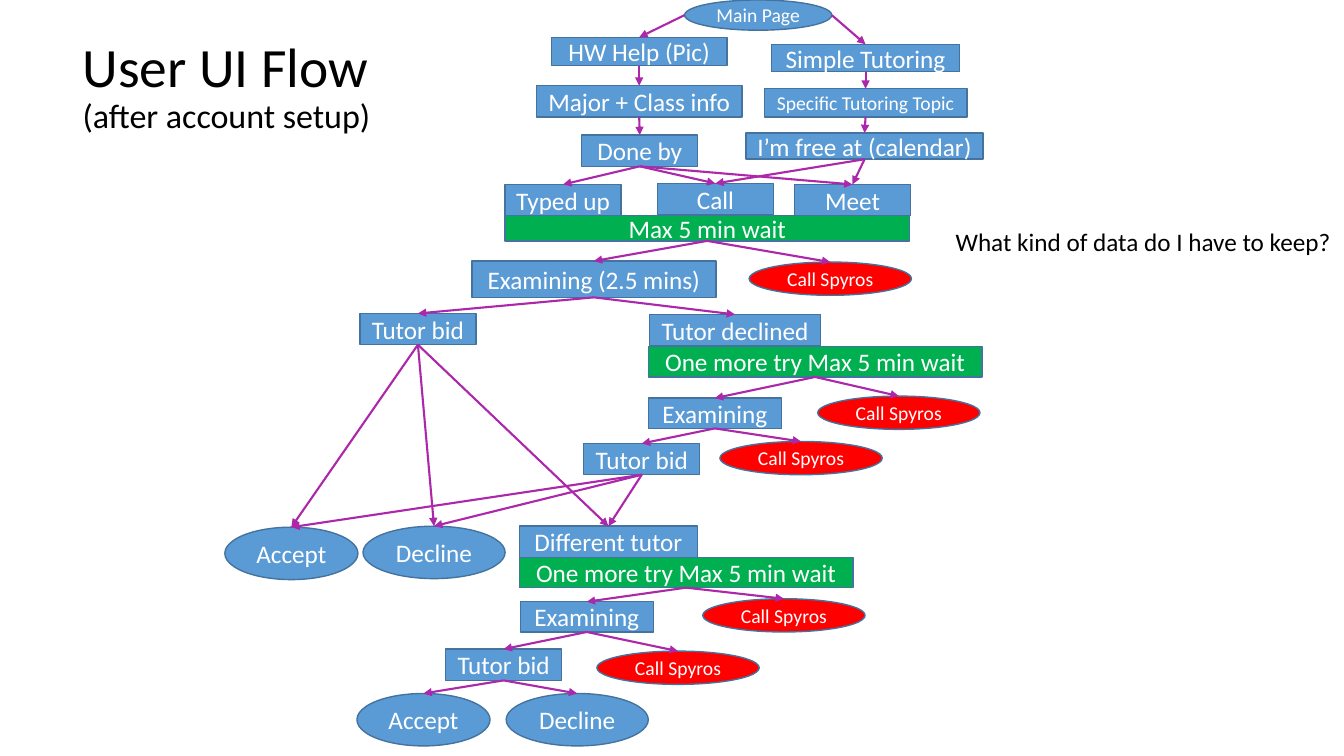
from pptx import Presentation
from pptx.dml.color import RGBColor
from pptx.enum.shapes import MSO_CONNECTOR, MSO_SHAPE
from pptx.enum.text import MSO_ANCHOR, MSO_AUTO_SIZE, PP_ALIGN
from pptx.oxml.ns import qn
from pptx.util import Inches, Pt
from lxml.etree import SubElement

BLUE = RGBColor(0x5B, 0x9B, 0xD5)
GREEN = RGBColor(0x00, 0xB0, 0x50)
RED = RGBColor(0xFF, 0x00, 0x00)
OUTLINE = RGBColor(0x43, 0x73, 0x9E)
PURPLE = RGBColor(0xAC, 0x27, 0xAA)
WHITE = RGBColor(0xFF, 0xFF, 0xFF)
BLACK = RGBColor(0x00, 0x00, 0x00)
FONT = "Calibri"

TITLE = [("User UI Flow ", 39.6), ("(after account setup)", 24.3)]
QUESTION = "What kind of data do I have to keep?"

RECT, OVAL = MSO_SHAPE.RECTANGLE, MSO_SHAPE.OVAL
STYLES = {
    "step": (RECT, BLUE, 18),
    "small step": (RECT, BLUE, 14),
    "wait": (RECT, GREEN, 18),
    "start": (OVAL, BLUE, 14),
    "outcome": (OVAL, BLUE, 18),
    "call": (OVAL, RED, 14),
}
SHORT, EXAM, RETRY = (1.15, 0.31), (1.32, 0.3), (3.31, 0.3)
ACCEPT, DECLINE, SPYROS = (1.32, 0.52), (1.41, 0.52), (1.61, 0.33)

STEPS = {
    "main": ("Main Page", "start", (6.79, 0), (1.46, 0.3)),
    "help": ("HW Help (Pic)", "step", (5.47, 0.37), (1.74, 0.28)),
    "tutoring": ("Simple Tutoring", "step", (7.65, 0.44), (1.87, 0.27)),
    "typed": ("Typed up", "step", (5.01, 1.83), SHORT),
    "phone": ("Call", "step", (6.52, 1.82), SHORT),
    "meet": ("Meet", "step", (7.88, 1.83), SHORT),
    "major": ("Major + Class info", "step", (5.32, 0.85), (2.04, 0.31)),
    "topic": ("Specific Tutoring Topic", "small step", (7.58, 0.88), (2.01, 0.28)),
    "done": ("Done by", "step", (5.77, 1.34), SHORT),
    "free": ("I’m free at (calendar)", "step", (7.4, 1.32), (2.35, 0.26)),
    "wait 1": ("Max 5 min wait", "wait", (5.01, 2.14), (4.01, 0.25)),
    "exam 1": ("Examining (2.5 mins)", "step", (4.68, 2.59), (2.42, 0.36)),
    "bid 1": ("Tutor bid", "step", (3.57, 3.11), SHORT),
    "declined": ("Tutor declined", "step", (6.44, 3.12), (1.7, 0.31)),
    "exam 2": ("Examining", "step", (6.43, 3.95), EXAM),
    "wait 2": ("One more try Max 5 min wait", "wait", (6.43, 3.44), RETRY),
    "bid 2": ("Tutor bid", "step", (5.79, 4.4), SHORT),
    "different": ("Different tutor", "step", (5.15, 5.22), (1.77, 0.31)),
    "wait 3": ("One more try Max 5 min wait", "wait", (5.15, 5.53), RETRY),
    "exam 3": ("Examining", "step", (5.16, 5.97), EXAM),
    "bid 3": ("Tutor bid", "step", (4.42, 6.44), SHORT),
    "accept 1": ("Accept", "outcome", (2.23, 5.23), ACCEPT),
    "decline 1": ("Decline", "outcome", (3.6, 5.22), DECLINE),
    "accept 2": ("Accept", "outcome", (3.54, 6.88), ACCEPT),
    "decline 2": ("Decline", "outcome", (5.02, 6.88), DECLINE),
    "call 1": ("Call Spyros", "call", (7.43, 2.6), SPYROS),
    "call 2": ("Call Spyros", "call", (8.11, 3.93), SPYROS),
    "call 3": ("Call Spyros", "call", (7.14, 4.38), SPYROS),
    "call 4": ("Call Spyros", "call", (6.97, 5.94), SPYROS),
    "call 5": ("Call Spyros", "call", (5.92, 6.46), SPYROS),
}

FLOW = {
    "help": ["major"],
    "major": ["done"],
    "done": ["typed", "phone", "meet"],
    "wait 1": ["exam 1", "call 1"],
    "exam 1": ["bid 1", "declined"],
    "wait 2": ["exam 2", "call 2"],
    "exam 2": ["bid 2", "call 3"],
    "bid 1": ["accept 1", "decline 1", "different"],
    "bid 2": ["accept 1", "decline 1", "different"],
    "wait 3": ["exam 3", "call 4"],
    "exam 3": ["bid 3", "call 5"],
    "bid 3": ["accept 2", "decline 2"],
    "main": ["help", "tutoring"],
    "tutoring": ["topic"],
    "topic": ["free"],
    "free": ["phone", "meet"],
}
TOP_SITE, BOTTOM_SITE = 0, 2


def add_run(paragraph, text, size, color):
    run = paragraph.add_run()
    run.text = text
    run.font.name = FONT
    run.font.size = Pt(size)
    run.font.color.rgb = color


def add_step(slide, text, style, corner, size):
    preset, fill, points = STYLES[style]
    step = slide.shapes.add_shape(preset, *map(Inches, corner + size))
    step.shadow.inherit = False
    step.fill.solid()
    step.fill.fore_color.rgb = fill
    step.line.color.rgb = OUTLINE
    step.line.width = Pt(1)
    frame = step.text_frame
    frame.word_wrap = True
    frame.vertical_anchor = MSO_ANCHOR.MIDDLE
    paragraph = frame.paragraphs[0]
    paragraph.alignment = PP_ALIGN.CENTER
    add_run(paragraph, text, points, WHITE)
    return step


def add_arrow(slide, source, target):
    middle = source.top + source.height // 2
    on_left = target.left + target.width // 2 < source.left + source.width // 2
    side = source.left if on_left else source.left + source.width
    arrow = slide.shapes.add_connector(
        MSO_CONNECTOR.STRAIGHT, side, middle, target.left, target.top)
    if source.auto_shape_type == RECT:
        arrow.begin_connect(source, BOTTOM_SITE)
    arrow.end_connect(target, TOP_SITE)
    arrow.line.color.rgb = PURPLE
    arrow.line.width = Pt(1.5)
    SubElement(arrow.line._get_or_add_ln(), qn("a:tailEnd"), type="triangle")
    SubElement(arrow._element.spPr, qn("a:effectLst"))


def add_title(slide):
    title = slide.shapes.title
    title.left, title.top, title.width, title.height = map(
        Inches, (0.72, 0.38, 3.13, 0.98))
    frame = title.text_frame
    frame.word_wrap = True
    frame.auto_size = MSO_AUTO_SIZE.NONE
    frame.vertical_anchor = MSO_ANCHOR.MIDDLE
    paragraph = frame.paragraphs[0]
    paragraph.alignment = PP_ALIGN.LEFT
    paragraph.line_spacing = 0.9
    for text, size in TITLE:
        add_run(paragraph, text, size, BLACK)


def add_question(slide):
    question = slide.shapes.add_textbox(*map(Inches, (9.38, 2.2, 3.97, 0.4)))
    frame = question.text_frame
    frame.word_wrap = False
    frame.auto_size = MSO_AUTO_SIZE.SHAPE_TO_FIT_TEXT
    add_run(frame.paragraphs[0], QUESTION, 18, BLACK)


def main():
    deck = Presentation()
    deck.slide_width, deck.slide_height = Inches(13.33), Inches(7.5)
    slide = deck.slides.add_slide(deck.slide_layouts[5])
    add_title(slide)
    steps = {key: add_step(slide, *step) for key, step in STEPS.items()}
    for source, targets in FLOW.items():
        for target in targets:
            add_arrow(slide, steps[source], steps[target])
    add_question(slide)
    deck.save("out.pptx")


if __name__ == "__main__":
    main()
